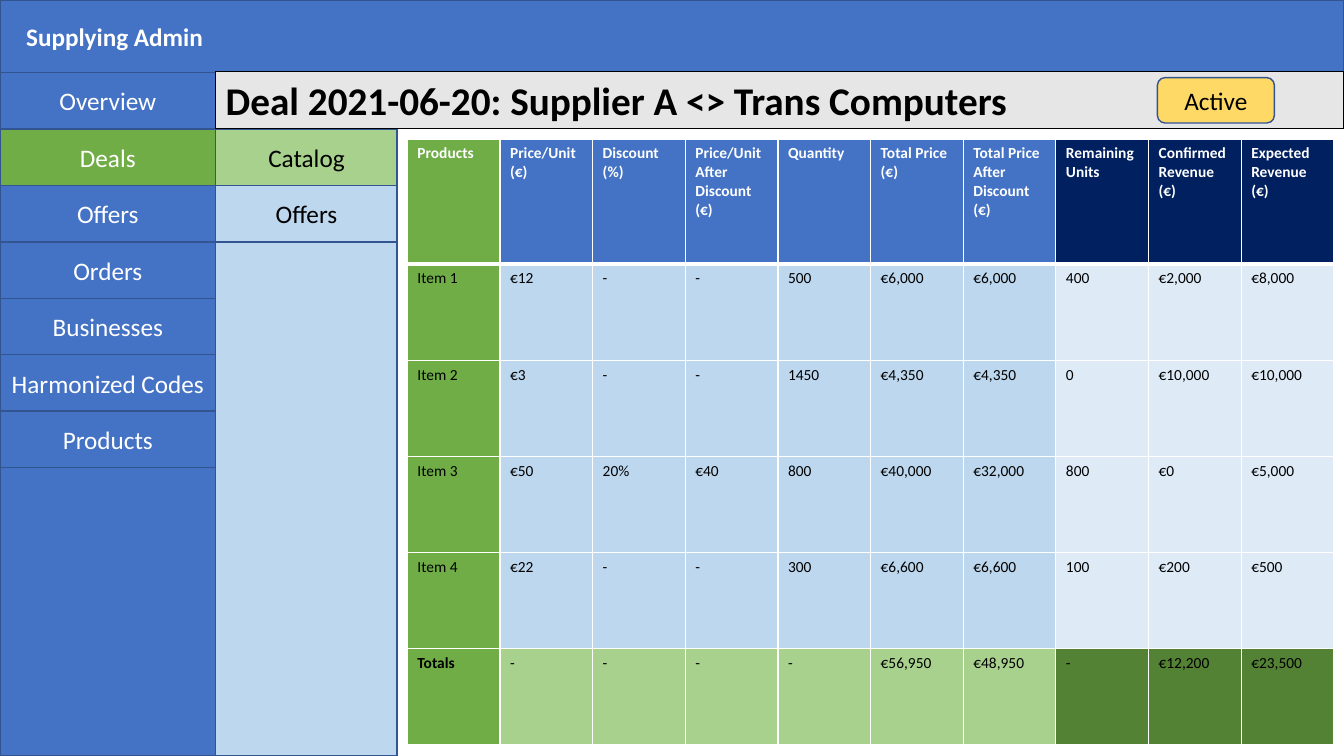
from lxml.etree import SubElement
from pptx import Presentation
from pptx.dml.color import RGBColor
from pptx.enum.shapes import MSO_SHAPE
from pptx.enum.text import MSO_ANCHOR, PP_ALIGN
from pptx.oxml.ns import qn
from pptx.util import Inches, Pt

WHITE = RGBColor(0xFF, 0xFF, 0xFF)
BLACK = RGBColor(0x00, 0x00, 0x00)
BLUE = RGBColor(0x44, 0x72, 0xC4)
OUTLINE = RGBColor(0x32, 0x54, 0x91)
NAVY = RGBColor(0x00, 0x20, 0x60)
SKY = RGBColor(0xBD, 0xD7, 0xEE)
PALE = RGBColor(0xDE, 0xEB, 0xF7)
GREEN = RGBColor(0x70, 0xAD, 0x47)
LIGHT_GREEN = RGBColor(0xA9, 0xD1, 0x8E)
DARK_GREEN = RGBColor(0x54, 0x82, 0x35)
GREY = RGBColor(0xE7, 0xE6, 0xE6)
YELLOW = RGBColor(0xFF, 0xD9, 0x66)

WIDTH, HEIGHT = 13.33, 7.5
BANNER = 0.72
ROW = 0.56
NAV_W, SUB_W = 2.14, 1.8
GAP = 0.1
PLAIN_COLS = 7

NAV = ["Overview", "Deals", "Offers", "Orders", "Businesses", "Harmonized Codes", "Products"]
SUB_NAV = [("Catalog", LIGHT_GREEN), ("Offers", SKY)]
DEAL = [
    ["Products", "Price/Unit (€)", "Discount (%)", "Price/Unit After Discount (€)", "Quantity",
     "Total Price (€)", "Total Price After Discount (€)", "Remaining Units",
     "Confirmed\vRevenue (€)", "Expected Revenue (€)"],
    ["Item 1", "€12", "-", "-", "500", "€6,000", "€6,000", "400", "€2,000", "€8,000"],
    ["Item 2", "€3", "-", "-", "1450", "€4,350", "€4,350", "0", "€10,000", "€10,000"],
    ["Item 3", "€50", "20%", "€40", "800", "€40,000", "€32,000", "800", "€0", "€5,000"],
    ["Item 4", "€22", "-", "-", "300", "€6,600", "€6,600", "100", "€200", "€500"],
    ["Totals", "-", "-", "-", "-", "€56,950", "€48,950", "-", "€12,200", "€23,500"],
]


def row_top(row):
    return BANNER + row * ROW


def set_text(tf, text, size, color, bold=False, align=PP_ALIGN.LEFT):
    tf.text = text
    p = tf.paragraphs[0]
    p.alignment = align
    for r in p.runs:
        for name, value in {"name": "Calibri", "size": Pt(size), "bold": bold}.items():
            setattr(r.font, name, value)
        r.font.color.rgb = color


def add_box(s, box, fill, line=OUTLINE, weight=1, kind=MSO_SHAPE.RECTANGLE):
    sp = s.shapes.add_shape(kind, *map(Inches, box))
    sp.shadow.inherit = False
    sp.fill.solid()
    sp.fill.fore_color.rgb = fill
    sp.line.color.rgb = line
    sp.line.width = Pt(weight)
    return sp


def add_label(s, box, text, fill, color, size=18, bold=False, align=PP_ALIGN.CENTER,
              anchor=MSO_ANCHOR.MIDDLE, margin=0.1, **style):
    tf = add_box(s, box, fill, **style).text_frame
    frame = {"word_wrap": True, "vertical_anchor": anchor, "margin_left": Inches(margin)}
    for name, value in frame.items():
        setattr(tf, name, value)
    set_text(tf, text, size, color, bold, align)


def add_cell_borders(cell, widths):
    tc_pr = cell._tc.get_or_add_tcPr()
    for side, width in widths.items():
        ln = SubElement(tc_pr, qn(f"a:ln{side}"), w=str(Pt(width)))
        fill = SubElement(ln, qn("a:solidFill"))
        SubElement(fill, qn("a:srgbClr"), val=str(WHITE))


def cell_fill(row, col):
    if col == 0:
        return GREEN
    if row == 0:
        plain, revenue = BLUE, NAVY
    elif row == len(DEAL) - 1:
        plain, revenue = LIGHT_GREEN, DARK_GREEN
    else:
        plain, revenue = SKY, PALE
    return plain if col < PLAIN_COLS else revenue


def add_deal_table(s):
    left, top = NAV_W + SUB_W + GAP, row_top(1) + GAP
    width, height = WIDTH - left - GAP, 6.01
    rows, cols = len(DEAL), len(DEAL[0])
    header = 1.24
    table = s.shapes.add_table(rows, cols, *map(Inches, (left, top, width, height))).table
    table.first_row = table.horz_banding = False
    for column in table.columns:
        column.width = Inches(width / cols)
    for i, values in enumerate(DEAL):
        table.rows[i].height = Inches(header if i == 0 else (height - header) / (rows - 1))
        for j, text in enumerate(values):
            cell = table.cell(i, j)
            add_cell_borders(cell, {"L": 1, "R": 1, "T": 3 if i == 1 else 1, "B": 3 if i == 0 else 1})
            cell.fill.solid()
            cell.fill.fore_color.rgb = cell_fill(i, j)
            set_text(cell.text_frame, text, 11, BLACK if i else WHITE, i == 0 or text == "Totals")


def add_header(s):
    add_label(s, (0, 0, WIDTH, BANNER), "Supplying Admin", BLUE, WHITE, bold=True,
              align=PP_ALIGN.LEFT, margin=0.26)
    add_label(s, (NAV_W, BANNER - 0.01, WIDTH - NAV_W, ROW + 0.01),
              "Deal 2021-06-20: Supplier A <> Trans Computers", GREY, BLACK, size=28, bold=True,
              align=PP_ALIGN.LEFT, anchor=MSO_ANCHOR.TOP, line=BLACK, weight=0.75)
    add_label(s, (11.48, 0.77, 1.16, 0.45), "Active", YELLOW, BLACK,
              kind=MSO_SHAPE.ROUNDED_RECTANGLE)


def add_menus(s):
    add_box(s, (0, BANNER, NAV_W, HEIGHT - BANNER), BLUE)
    for i, name in enumerate(NAV):
        add_label(s, (0, row_top(i), NAV_W, ROW), name, GREEN if name == "Deals" else BLUE, WHITE)
    add_box(s, (NAV_W, row_top(1), SUB_W, HEIGHT - row_top(1)), SKY)
    for i, (name, fill) in enumerate(SUB_NAV, 1):
        add_label(s, (NAV_W, row_top(i), SUB_W, ROW), name, fill, BLACK)


def main():
    prs = Presentation()
    prs.slide_width, prs.slide_height = Inches(WIDTH), Inches(HEIGHT)
    s = prs.slides.add_slide(prs.slide_layouts[6])
    add_menus(s)
    add_header(s)
    add_deal_table(s)
    prs.save("out.pptx")


if __name__ == "__main__":
    main()
